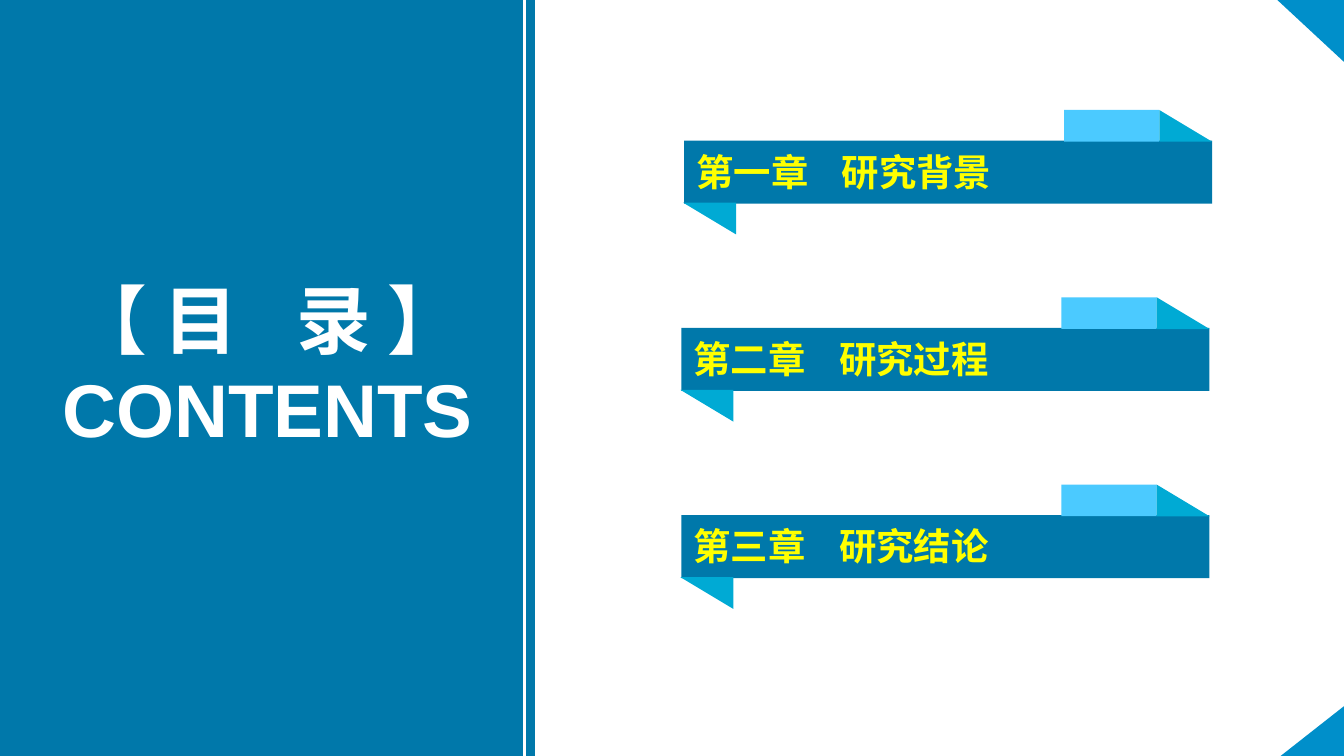
from dataclasses import dataclass

from lxml import etree
from pptx import Presentation
from pptx.dml.color import RGBColor as RGB
from pptx.enum.shapes import MSO_CONNECTOR as Connector, MSO_SHAPE as Shape
from pptx.enum.text import MSO_AUTO_SIZE as AutoSize, PP_ALIGN as Align
from pptx.oxml.ns import qn
from pptx.util import Cm, Pt


@dataclass(frozen=True)
class Theme:
    font: str = "Arial"
    deep: RGB = RGB(0x00, 0x78, 0xAA)
    light: RGB = RGB(0x4B, 0xCA, 0xFF)
    fold: RGB = RGB(0x00, 0xAA, 0xD4)
    corner: RGB = RGB(0x00, 0x8F, 0xCA)
    white: RGB = RGB(0xFF, 0xFF, 0xFF)
    chapter_text: RGB = RGB(0xFF, 0xFF, 0x00)
    title_size: Pt = Pt(40)
    chapter_size: Pt = Pt(20)
    rule_width: Pt = Pt(1.5)


THEME = Theme()
SLIDE_W, SLIDE_H = 25.4, 14.29
CHAPTERS = [("第一章", "研究背景"), ("第二章", "研究过程"), ("第三章", "研究结论")]


def add_block(shapes, kind, box, color, rotation=0):
    """Flat filled shape; box is left, top, width, height in cm."""
    block = shapes.add_shape(kind, *map(Cm, box))
    block.shadow.inherit = False
    block.fill.solid()
    block.fill.fore_color.rgb = color
    block.line.fill.background()
    block.rotation = rotation


def add_label(shapes, box):
    frame = shapes.add_textbox(*map(Cm, box)).text_frame
    frame.word_wrap = True
    frame.auto_size = AutoSize.SHAPE_TO_FIT_TEXT
    return frame


def style_runs(paragraph, size, color):
    for run in paragraph.runs:
        run.font.name = THEME.font
        run.font.size = size
        run.font.bold = True
        run.font.color.rgb = color


def add_title_panel(shapes, left, top, width, height):
    add_block(shapes, Shape.RECTANGLE, (left, top, width, height), THEME.deep)

    # Bilingual heading, with the two characters spaced apart
    frame = add_label(shapes, (left, top + 5.05, width, 3.68))
    heading, translation = frame.paragraphs[0], frame.add_paragraph()
    for part in ("【 目", " ", "录 】"):
        heading.add_run().text = part
    heading.runs[1]._r.get_or_add_rPr().set("spc", "2200")
    translation.text = "CONTENTS"
    for paragraph in (heading, translation):
        paragraph.alignment = Align.CENTER
        style_runs(paragraph, THEME.title_size, THEME.white)

    # Thin rule inside the right edge
    rule_x = Cm(left + width - 0.2)
    rule = shapes.add_connector(
        Connector.STRAIGHT, rule_x, Cm(top), rule_x, Cm(top + height))
    rule.line.color.rgb = THEME.white
    rule.line.width = THEME.rule_width
    etree.SubElement(rule._element.spPr, qn("a:effectLst"))


def add_chapter_ribbon(shapes, left, top, width, height, number, name):
    ribbon = shapes.add_group_shape().shapes
    fold_w, fold_h, flap_w, overlap = 1.0, 0.6, 1.8, 0.02
    fold_left = left + width - fold_w
    flap_top = top - fold_h + overlap

    # Band, raised flap and the two folds
    add_block(ribbon, Shape.RECTANGLE, (left, top, width, height), THEME.deep)
    add_block(ribbon, Shape.RECTANGLE,
              (fold_left - flap_w, flap_top, flap_w, fold_h), THEME.light)
    add_block(ribbon, Shape.RIGHT_TRIANGLE,
              (fold_left, flap_top, fold_w, fold_h), THEME.fold)
    add_block(ribbon, Shape.RIGHT_TRIANGLE,
              (left - overlap, top + height - overlap, fold_w, fold_h),
              THEME.fold, 180)

    # Chapter number and name, parted by a tab stop
    frame = add_label(ribbon, (left - overlap, top + 0.03, 6.4, 1.11))
    chapter = frame.paragraphs[0]
    stops = etree.SubElement(chapter._p.get_or_add_pPr(), qn("a:tabLst"))
    etree.SubElement(stops, qn("a:tab"), pos=str(Cm(2.75)), algn="l")
    chapter.text = f"{number}\t{name}"
    style_runs(chapter, THEME.chapter_size, THEME.chapter_text)


def add_chapter_list(shapes, left, top, width, pitch):
    for row, (number, name) in enumerate(CHAPTERS):
        indent = 0.05 if row == 0 else 0
        add_chapter_ribbon(shapes, left + indent, top + row * pitch,
                           width, 1.19, number, name)


def add_corners(shapes, right, bottom):
    add_block(shapes, Shape.RIGHT_TRIANGLE,
              (right - 1.26, 0, 1.26, 1.17), THEME.corner, 180)
    add_block(shapes, Shape.RIGHT_TRIANGLE,
              (right - 1.12, bottom - 1.08, 0.99, 1.26), THEME.corner, 270)


def main():
    deck = Presentation()
    deck.slide_width, deck.slide_height = Cm(SLIDE_W), Cm(SLIDE_H)
    shapes = deck.slides.add_slide(deck.slide_layouts[6]).shapes
    add_chapter_list(shapes, 12.88, 2.66, 9.98, 3.54)
    add_title_panel(shapes, 0, 0, 10.11, SLIDE_H)
    add_corners(shapes, SLIDE_W, SLIDE_H)
    deck.save("out.pptx")


if __name__ == "__main__":
    main()
